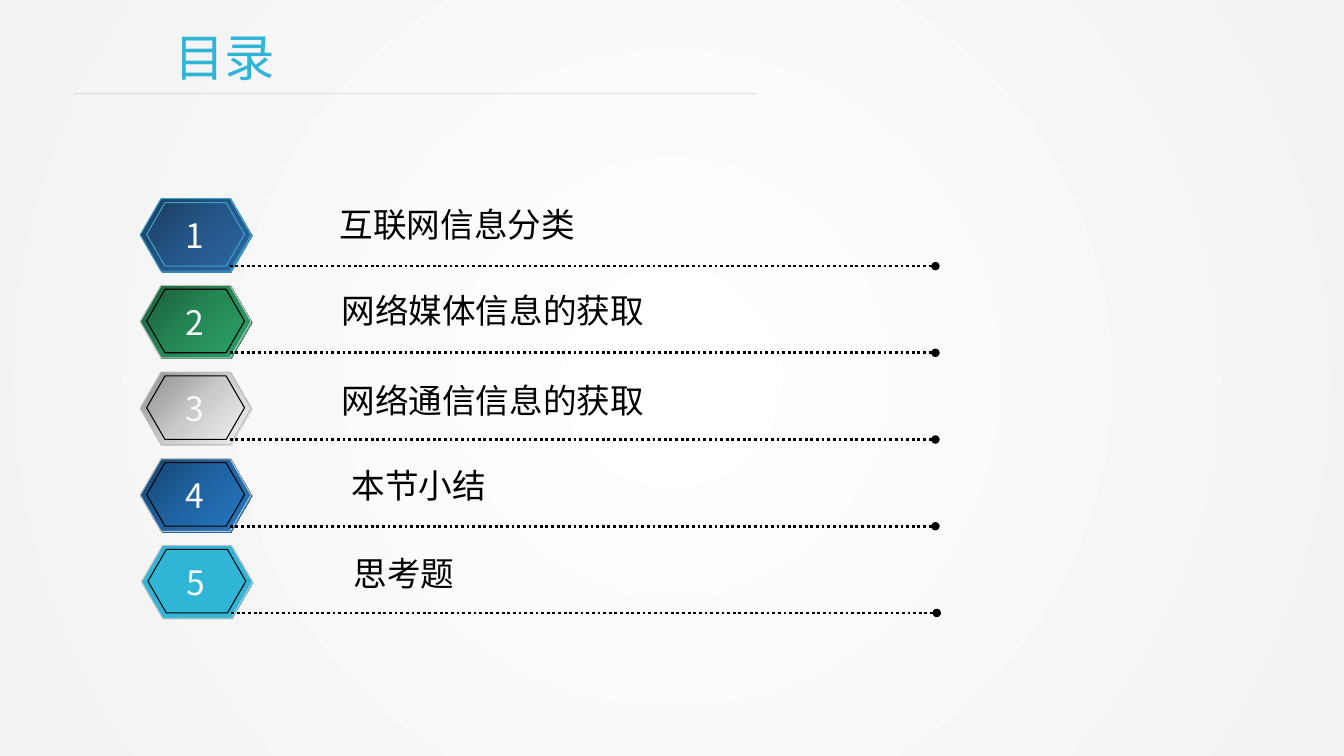
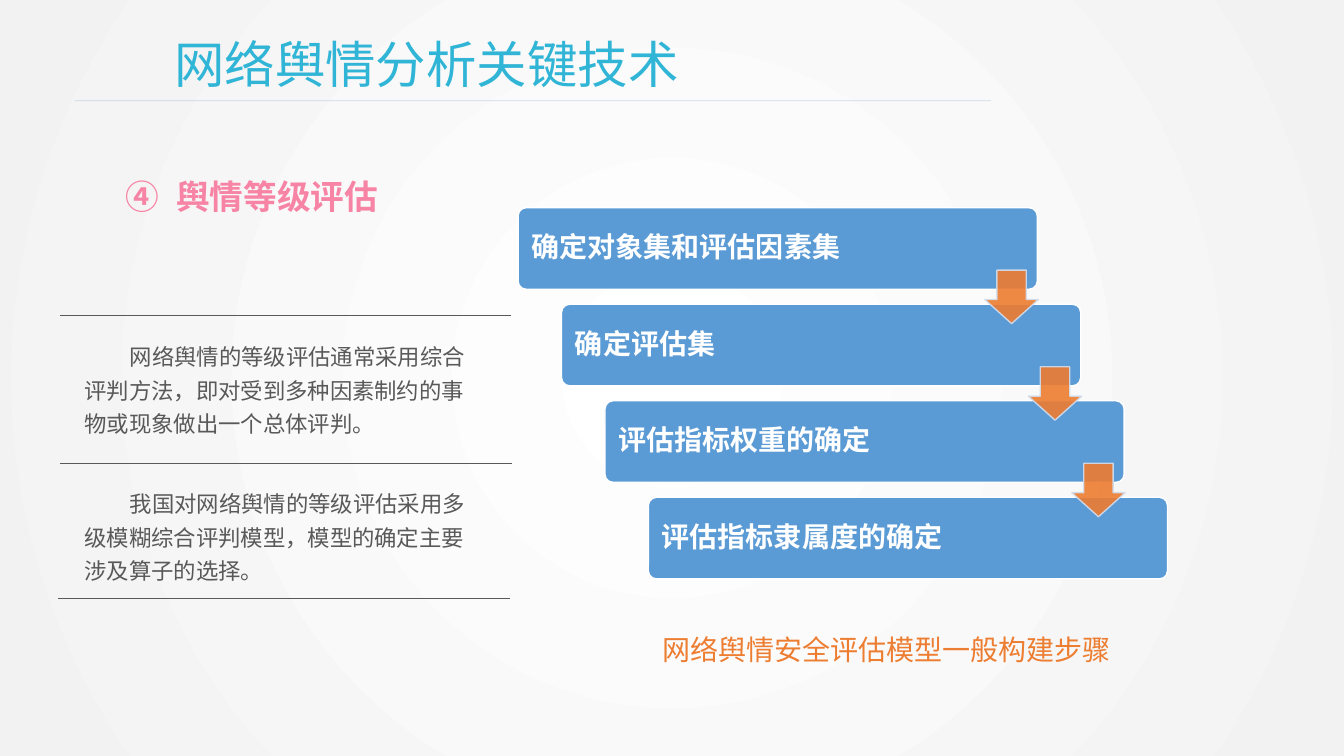
from lxml import etree
from pptx import Presentation
from pptx import util as u
from pptx.dml.color import RGBColor
from pptx.enum import dml, shapes, text
from pptx.oxml import ns

COLORS = {
    "title": "31B5D6", "rule": "4A7EBB", "ink": "000000", "number": "F8F8F8",
    "white": "FFFFFF", "pale": "F2F2F2", "edge": "C0C0C0", "glow": "3DA2CB",
    "body": "595959", "heading": "F784A5", "card": "5B9BD5",
    "arrow": "ED7D31", "arrow_edge": "D2DEEF",
    "navy1": "1A3C5F", "navy2": "255687", "navy3": "2B66A1",
    "green1": "1A5F3C", "green2": "258756", "green3": "2BA166",
    "grey1": "8F8E8E", "grey2": "CBCACA", "grey3": "F1F0F0",
    "blue1": "164672", "blue2": "1F63A2", "blue3": "2476C0",
}
FONT = "Noto Sans CJK SC"
AGENDA = [
    ("互联网信息分类", 24.53, 26.27, ["navy1", "navy2", "navy3"]),
    ("网络媒体信息的获取", 24.68, 37.73, ["green1", "green2", "green3"]),
    ("网络通信信息的获取", 24.68, 49.6, ["grey1", "grey2", "grey3"]),
    ("本节小结", 25.43, 60.8, ["blue1", "blue2", "blue3"]),
    ("思考题", 25.58, 72.53, ["title"]),
]
STEPS = ["确定对象集和评估因素集", "确定评估集", "评估指标权重的确定", "评估指标隶属度的确定"]
NOTES = [
    (43.87, "网络舆情的等级评估通常采用综合评判方法，即对受到多种因素制约的事物或现象做出一个总体评判。"),
    (63.33, "我国对网络舆情的等级评估采用多级模糊综合评判模型，模型的确定主要涉及算子的选择。"),
]


def rgb(name):
    """Return the named colour."""
    return RGBColor.from_string(COLORS[name])


def child(parent, tag, **attrs):
    """Append a drawing element with the given attributes."""
    return etree.SubElement(parent, ns.qn("a:" + tag), {k: str(v) for k, v in attrs.items()})


class Deck:
    """Slides laid out on a grid of 100 columns by 100 rows."""

    def __init__(self):
        """Open a widescreen presentation."""
        self.prs = Presentation()
        self.prs.slide_width = u.Inches(13.33)
        self.prs.slide_height = u.Inches(7.5)
        self.s = None

    def at(self, x, y):
        """Convert columns and rows to lengths."""
        return int(self.prs.slide_width * x / 100), int(self.prs.slide_height * y / 100)

    def gradient(self, fill, element, names, angle=None):
        """Fill along an angle, or outward from the centre."""
        fill.gradient()
        grad = element.find(".//" + ns.qn("a:gradFill"))
        grad.clear()
        stops = child(grad, "gsLst")
        for i, name in enumerate(names):
            stop = child(stops, "gs", pos=100000 * i // (len(names) - 1))
            child(stop, "srgbClr", val=COLORS[name])
        if angle is None:
            centre = child(grad, "path", path="circle")
            child(centre, "fillToRect", l=50000, t=50000, r=50000, b=50000)
        else:
            child(grad, "lin", ang=angle * 60000, scaled=0)

    def fade(self, sp, percent):
        """Set the opacity of every colour of a shape."""
        for color in sp._element.spPr.iter(ns.qn("a:srgbClr")):
            child(color, "alpha", val=percent * 1000)

    def slide(self, title, top, rule_end):
        """Start a slide with background, title and rule."""
        self.s = self.prs.slides.add_slide(self.prs.slide_layouts[6])
        self.gradient(self.s.background.fill, self.s._element, ["white", "pale"])
        self.text(title, 12.23, top, 63.75, 9.47, 36, "title")
        self.line(5.55, rule_end, top + 9.6, "rule", opacity=25)

    def style(self, tf, words, size, color, bold=False):
        """Put one styled paragraph in a frame."""
        tf.text = words
        p = tf.paragraphs[0]
        for r in p.runs:
            r.font.size, r.font.bold = u.Pt(size), bold
            r.font.color.rgb = rgb(color)
            r.font.name = FONT
            child(r._r.get_or_add_rPr(), "ea", typeface=FONT)
        return p

    def text(self, words, x, y, w, h, size, color, bold=False, wrap=True):
        """Add a text box and return its paragraph."""
        tf = self.s.shapes.add_textbox(*self.at(x, y), *self.at(w, h)).text_frame
        tf.word_wrap = wrap
        tf.auto_size = text.MSO_AUTO_SIZE.SHAPE_TO_FIT_TEXT
        return self.style(tf, words, size, color, bold)

    def line(self, x1, x2, y, color, width=0.5, opacity=None, dotted=False):
        """Add a horizontal line, dotted ones ending in a dot."""
        sp = self.s.shapes.add_connector(
            shapes.MSO_CONNECTOR.STRAIGHT, *self.at(x1, y), *self.at(x2, y))
        sp.line.color.rgb = rgb(color)
        sp.line.width = u.Pt(width)
        if dotted:
            sp.line.dash_style = dml.MSO_LINE.ROUND_DOT
            child(sp.line._get_or_add_ln(), "tailEnd", type="oval")
        if opacity:
            self.fade(sp, opacity)
        child(sp._element.spPr, "effectLst")

    def shape(self, kind, x, y, w, h, fills, edge, width, adjust):
        """Add a preset shape with one fill colour or a diagonal gradient."""
        sp = self.s.shapes.add_shape(kind, *self.at(x, y), *self.at(w, h))
        sp.shadow.inherit = False
        for i, value in enumerate(adjust):
            sp.adjustments[i] = value
        if len(fills) > 1:
            self.gradient(sp.fill, sp._element, fills, 45)
        else:
            sp.fill.solid()
            sp.fill.fore_color.rgb = rgb(fills[0])
        if edge:
            sp.line.color.rgb = rgb(edge)
            sp.line.width = u.Pt(width)
        else:
            sp.line.fill.background()
        return sp

    def badge(self, number, x, y, fills, edges):
        """Add a numbered badge of three stacked hexagons."""
        places = [(0.08, 0.13, 8.25, 9.6), (0, 0, 8.25, 9.6), (0.48, 0.53, 7.28, 8.4)]
        for (dx, dy, w, h), edge in zip(places, edges):
            self.shape(shapes.MSO_SHAPE.HEXAGON, x + dx, y + dy, w, h,
                       fills, edge, 0.75, [0.289, 1.155])
        p = self.text(str(number), x + 2.55, y + 1.47, 3, 6.67, 24, "number", wrap=False)
        p.alignment = text.PP_ALIGN.CENTER

    def card(self, words, x, y):
        """Add a step card."""
        sp = self.shape(shapes.MSO_SHAPE.ROUNDED_RECTANGLE, x, y, 38.63, 10.8,
                        ["card"], "white", 1, [0.1])
        tf = sp.text_frame
        tf.word_wrap = True
        tf.margin_left = u.Inches(0.11)
        tf.vertical_anchor = text.MSO_ANCHOR.MIDDLE
        p = self.style(tf, words, 20, "white", True)
        p.alignment = text.PP_ALIGN.LEFT
        p.line_spacing = 0.9

    def arrow(self, x, y):
        """Add a translucent arrow pointing down."""
        sp = self.shape(shapes.MSO_SHAPE.DOWN_ARROW, x, y, 3.98, 7.07,
                        ["arrow"], "arrow_edge", 1, [0.55, 0.45])
        self.fade(sp, 90)

    def note(self, words, y):
        """Add a body paragraph with an indented first line."""
        p = self.text(words, 5.55, y, 30, 14.4, 16, "body")
        p._p.get_or_add_pPr().set("indent", str(u.Inches(0.45)))
        p.line_spacing = 1.25

    def heading(self, words, number, x, y):
        """Add a heading with a circled number."""
        p = self.text(words, x, y, 20.48, 6.67, 24, "heading", True, wrap=False)
        pPr = p._p.get_or_add_pPr()
        pPr.set("marL", str(u.Inches(0.5)))
        pPr.set("indent", str(-u.Inches(0.5)))
        child(pPr, "buAutoNum", type="circleNumDbPlain", startAt=number)


def agenda(deck):
    """Build the table of contents."""
    deck.slide("目录", 2.8, 56.33)
    for i, (label, x, y, fills) in enumerate(AGENDA):
        shift = 0.1 if i == len(AGENDA) - 1 else 0
        top = 26.27 + 11.47 * i
        edges = [None, "edge", "ink"] if i else ["glow"] * 3
        deck.badge(i + 1, 10.43 + shift, top, fills, edges)
        deck.line(17.1 + shift, 69.6 + shift, top + 8.93, "ink", 2, dotted=True)
        deck.text(label, x, y, 2.5 * len(label) + 1.6, 6.67, 24, "ink", wrap=False)


def assessment(deck):
    """Build the assessment steps."""
    deck.slide("网络舆情分析关键技术", 3.73, 73.73)
    corners = [(38.55 + 3.23 * i, 27.47 + 12.77 * i) for i in range(len(STEPS))]
    for words, (x, y) in zip(STEPS, corners):
        deck.card(words, x, y)
    for x, y in corners[:-1]:
        deck.arrow(x + 34.73, y + 8.27)
    deck.text("网络舆情安全评估模型一般构建步骤", 48.53, 83.07, 35.18, 5.87, 20, "arrow", wrap=False)
    for x, y in [(4.43, 41.73), (4.5, 61.33), (4.35, 79.2)]:
        deck.line(x, x + 33.6, y, "body")
    for y, words in NOTES:
        deck.note(words, y)
    deck.heading("舆情等级评估", 4, 8.63, 22.67)


def main():
    """Build and save the deck."""
    deck = Deck()
    agenda(deck)
    assessment(deck)
    deck.prs.save("out.pptx")


if __name__ == "__main__":
    main()
